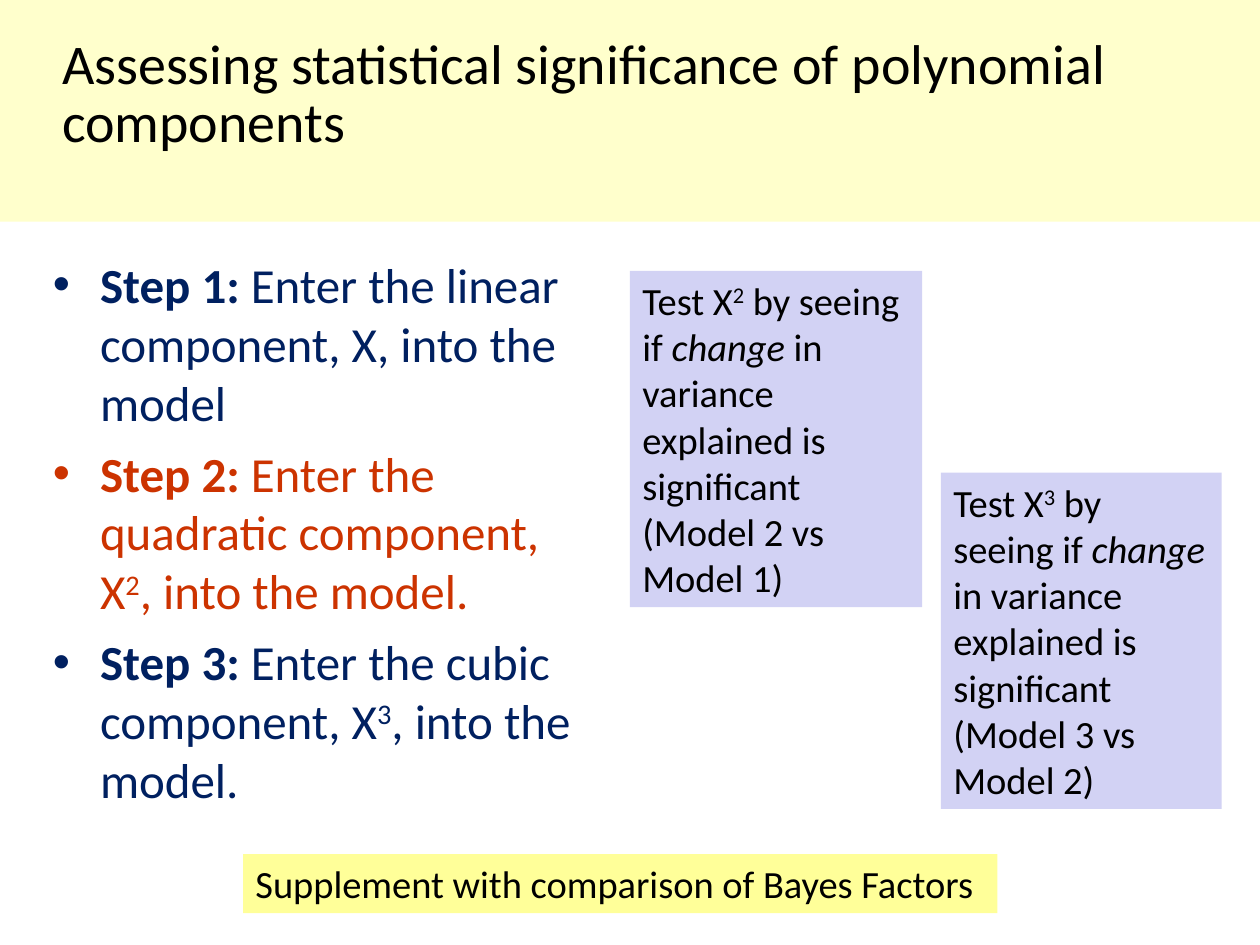
import pptx
import pptx.dml.color
import pptx.enum.shapes
import pptx.enum.text
import pptx.oxml.ns
import pptx.util
from lxml import etree
from pptx.util import Cm

NAVY, RUST, BLACK = "002060", "CC3300", "000000"
CREAM, LAVENDER, YELLOW = "FFFFCC", "D2D2F4", "FFFF99"


def colour(value):
    return pptx.dml.color.RGBColor.from_string(value)


def write(paragraph, parts, size=22, ink=BLACK, font="Calibri", bullet=None,
          before=0, spacing=None):
    """Write (text, style) parts; style is "", "b", "i" or "^" (superscript)."""
    if bullet:
        qn = pptx.oxml.ns.qn
        bullet_colour = etree.SubElement(paragraph._p.get_or_add_pPr(), qn("a:buClr"))
        etree.SubElement(bullet_colour, qn("a:srgbClr"), val=bullet)
    paragraph.alignment = pptx.enum.text.PP_ALIGN.LEFT
    paragraph.space_before = pptx.util.Pt(before)
    if spacing:
        paragraph.line_spacing = spacing
    for text, style in parts:
        run = paragraph.add_run()
        run.text = text
        run.font.name = font
        run.font.size = pptx.util.Pt(size)
        run.font.bold = style == "b"
        run.font.italic = style == "i"
        run.font.color.rgb = colour(ink)
        if style == "^":
            run._r.get_or_add_rPr().set("baseline", "30000")


class SlideBuilder:
    def __init__(self, slide):
        self.slide = slide

    def place(self, shape, left, top, width, height):
        shape.left, shape.top = Cm(left), Cm(top)
        shape.width, shape.height = Cm(width), Cm(height)
        frame = shape.text_frame
        frame.word_wrap = True
        frame.auto_size = pptx.enum.text.MSO_AUTO_SIZE.NONE
        frame.vertical_anchor = pptx.enum.text.MSO_ANCHOR.TOP
        return frame

    def paint(self, shape, fill):
        shape.fill.solid()
        shape.fill.fore_color.rgb = colour(fill)

    def fill_frame(self, frame, paragraphs, **style):
        for index, parts in enumerate(paragraphs):
            paragraph = frame.add_paragraph() if index else frame.paragraphs[0]
            write(paragraph, parts, **style)

    def title(self, text, bounds):
        banner = self.slide.shapes.title
        frame = self.place(banner, *bounds)
        self.paint(banner, CREAM)
        frame.margin_left, frame.margin_top = Cm(1.25), Cm(0.79)
        self.fill_frame(frame, [[(text, "")]], size=32, spacing=0.85)

    def steps(self, steps, bounds):
        frame = self.place(self.slide.placeholders[1], *bounds)
        for index, (ink, parts) in enumerate(steps):
            paragraph = frame.add_paragraph() if index else frame.paragraphs[0]
            label = (f"Step {index + 1}: ", "b")
            write(paragraph, [label, *parts], size=28, ink=ink, bullet=ink,
                  before=7 if index else 0)

    def note(self, paragraphs, bounds, fill):
        box = self.slide.shapes.add_shape(
            pptx.enum.shapes.MSO_SHAPE.RECTANGLE, *map(Cm, bounds))
        box.shadow.inherit = False
        box.line.fill.background()
        self.paint(box, fill)
        self.fill_frame(self.place(box, *bounds), paragraphs)


def main():
    deck = pptx.Presentation()
    deck.slide_width, deck.slide_height = Cm(25.4), Cm(19.05)
    builder = SlideBuilder(deck.slides.add_slide(deck.slide_layouts[1]))

    # Title banner
    builder.title("Assessing statistical significance of polynomial components",
                  (0, 0, 25.4, 4.47))

    # Modelling steps
    builder.steps([
        (NAVY, [("Enter the linear component, X, into the model", "")]),
        (RUST, [("Enter the quadratic component, X", ""), ("2", "^"),
                (", into the model.", "")]),
        (NAVY, [("Enter the cubic component, X", ""), ("3", "^"),
                (", into the model.", "")]),
    ], (0.81, 5, 11.5, 12.83))

    # Significance test for each higher power
    for power, bounds in ((2, (12.7, 5.46, 5.89, 6.78)),
                          (3, (18.97, 9.53, 5.66, 6.78))):
        builder.note([
            [("Test X", ""), (str(power), "^"), (" by seeing if ", ""),
             ("change", "i"), (" in variance explained is significant", "")],
            [(f"(Model {power} vs Model {power - 1})", "")],
        ], bounds, LAVENDER)

    # Closing remark
    builder.note([[("Supplement with comparison of Bayes Factors", "")]],
                 (4.9, 17.22, 15.21, 1.19), YELLOW)

    deck.save("out.pptx")


if __name__ == "__main__":
    main()
